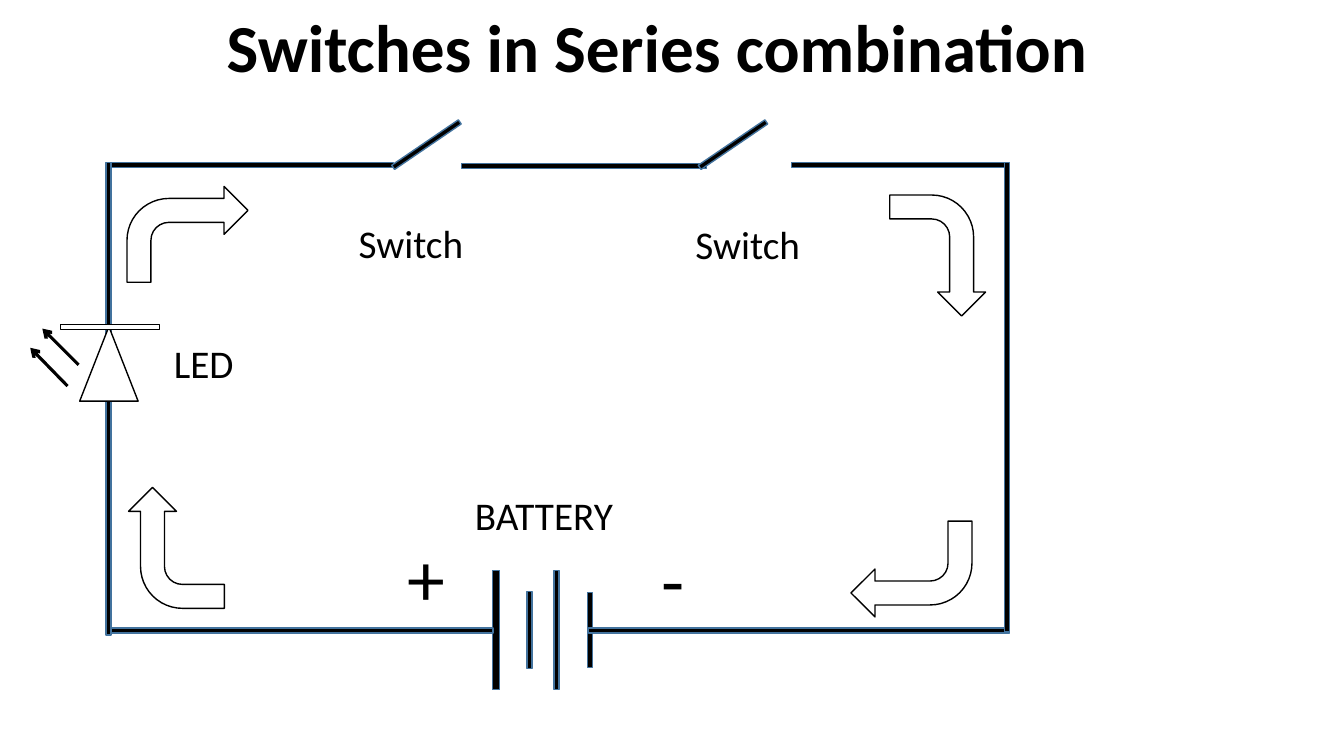
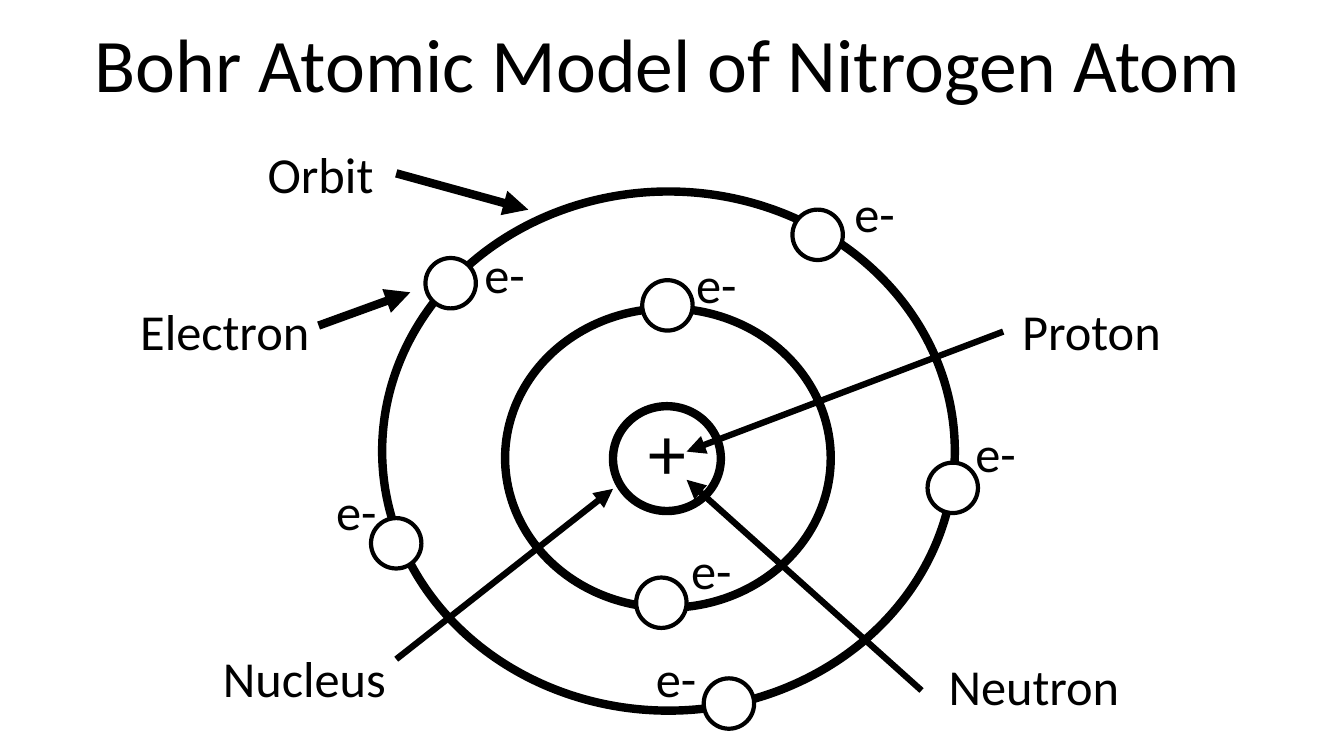
from pptx import Presentation
from pptx.dml.color import RGBColor
from pptx.enum.shapes import MSO_CONNECTOR, MSO_SHAPE
from pptx.enum.text import MSO_AUTO_SIZE, PP_ALIGN
from pptx.oxml.ns import qn
from pptx.util import Inches, Pt
from lxml.etree import SubElement

BLACK = RGBColor(0x00, 0x00, 0x00)
WHITE = RGBColor(0xFF, 0xFF, 0xFF)
WIRE_EDGE = RGBColor(0x43, 0x73, 0x9E)
FONT = "Calibri"


def write(tf, text, size=28, bold=False, align=PP_ALIGN.CENTER, color=BLACK):
    p = tf.paragraphs[0]
    p.alignment = align
    r = p.add_run()
    r.text = text
    r.font.name = FONT
    r.font.size = Pt(size)
    r.font.bold = bold
    r.font.color.rgb = color


class Diagram:
    def __init__(self, prs):
        self.prs = prs
        self.slide = None

    def new_slide(self):
        self.slide = self.prs.slides.add_slide(self.prs.slide_layouts[6])

    def text(self, text, x, y, w, h, wrap=False, **fmt):
        tf = self.slide.shapes.add_textbox(Inches(x), Inches(y), Inches(w), Inches(h)).text_frame
        tf.word_wrap = wrap
        tf.auto_size = MSO_AUTO_SIZE.SHAPE_TO_FIT_TEXT
        write(tf, text, **fmt)

    def shape(self, kind, x, y, w, h, fill=WHITE, line=BLACK, width=1, rotation=0):
        sp = self.slide.shapes.add_shape(kind, Inches(x), Inches(y), Inches(w), Inches(h))
        sp.shadow.inherit = False
        sp.fill.solid()
        sp.fill.fore_color.rgb = fill
        sp.line.color.rgb = line
        sp.line.width = Pt(width)
        sp.rotation = rotation

    def wire(self, x, y, w, h, kind=MSO_SHAPE.FLOWCHART_PROCESS, rotation=0):
        self.shape(kind, x, y, w, h, fill=BLACK, line=WIRE_EDGE, rotation=rotation)

    def cell(self, center_x, center_y, length, thickness):
        self.wire(center_x - length / 2, center_y - thickness / 2, length, thickness,
                  kind=MSO_SHAPE.RECTANGLE, rotation=270)

    def circle(self, x, y, w, h, width=6):
        self.shape(MSO_SHAPE.OVAL, x, y, w, h, width=width)

    def arrow(self, x1, y1, x2, y2, width, head="triangle"):
        line = self.slide.shapes.add_connector(
            MSO_CONNECTOR.STRAIGHT, Inches(x1), Inches(y1), Inches(x2), Inches(y2))
        line.line.color.rgb = BLACK
        line.line.width = Pt(width)
        SubElement(line.line._get_or_add_ln(), qn("a:tailEnd"), type=head)
        SubElement(line._element.spPr, qn("a:effectLst"))


def build_circuit(s):
    s.new_slide()
    s.text("Switches in Series combination", 2.15, 0, 9.33, 0.91, wrap=True,
           size=48, bold=True, align=PP_ALIGN.LEFT)

    for center_x, length, thickness in (
            (4.92, 1.18, 0.07), (5.25, 0.76, 0.05), (5.52, 1.18, 0.05), (5.85, 0.74, 0.05)):
        s.cell(center_x, 6.25, length, thickness)
    for sign, x, y in (("+", 3.9, 5.22), ("-", 6.35, 5.24)):
        s.text(sign, x, y, 0.66, 1.01, wrap=True, size=54)
    s.text("BATTERY", 4.55, 4.83, 1.69, 0.57, wrap=True)

    for x, y, length in (
            (1.09, 6.23, 3.8), (5.84, 6.23, 4.17),
            (1.08, 1.61, 2.82), (4.58, 1.62, 2.43), (7.85, 1.61, 2.14)):
        s.wire(x, y, length, 0.05)
    for x, length in ((9.96, 4.66), (1.05, 4.69)):
        s.wire(x, 1.61, 0.05, length)
    for x in (3.83, 6.87):
        s.wire(x, 1.41, 0.8, 0.05, rotation=325.7)

    s.text("LED", 1.62, 3.32, 0.8, 0.57)
    for x, y in ((3.45, 2.13), (6.79, 2.14)):
        s.text("Switch", x, y, 1.25, 0.57)

    for quarter, (x, y) in enumerate(((1.26, 1.85), (8.7, 2.06), (8.44, 5.17), (1.15, 4.96))):
        s.shape(MSO_SHAPE.BENT_ARROW, x, y, 1.2, 0.95, rotation=90 * quarter)

    s.shape(MSO_SHAPE.ISOSCELES_TRIANGLE, 0.79, 3.24, 0.58, 0.74)
    s.shape(MSO_SHAPE.FLOWCHART_PROCESS, 0.6, 3.22, 0.98, 0.05)
    for x1, y1, x2, y2 in ((0.78, 3.62, 0.42, 3.26), (0.67, 3.83, 0.3, 3.45)):
        s.arrow(x1, y1, x2, y2, 2.25, head="arrow")


def build_atom(s):
    s.new_slide()
    s.circle(3.79, 1.9, 5.68, 5.15)
    s.circle(5.01, 3.06, 3.23, 2.97)
    s.text("Bohr Atomic Model of Nitrogen Atom", 0.78, 0.12, 11.69, 1.01, size=54)
    s.circle(6.08, 4.03, 1.07, 1.04)
    s.text("+", 6.33, 3.97, 0.58, 1.01, size=54)

    electrons = (
        (4.22, 2.56, 4.7, 2.36), (6.37, 2.78, 6.8, 2.46), (7.86, 2.08, 8.37, 1.76),
        (9.2, 4.59, 9.57, 4.14), (6.31, 5.73, 6.75, 5.3), (3.68, 5.14, 3.23, 4.71),
        (6.98, 6.73, 6.4, 6.37))
    for x, y, _, _ in electrons:
        s.circle(x, y, 0.5, 0.5, width=3)

    for name, x, y, w, ends, width in (
            ("Orbit", 2.55, 1.37, 1.26, (3.93, 1.72, 5.24, 2.08), 6),
            ("Electron", 1.28, 2.93, 1.9, (3.16, 3.23, 4.07, 2.9), 6),
            ("Nucleus", 2.1, 6.37, 1.84, (3.93, 6.54, 6.08, 4.85), 4.5),
            ("Proton", 10.03, 2.93, 1.59, (9.95, 3.29, 6.81, 4.48), 4.5),
            ("Neutron", 9.3, 6.45, 1.91, (9.14, 6.85, 6.81, 4.76), 4.5)):
        s.text(name, x, y, w, 0.71, size=36)
        s.arrow(*ends, width)

    for _, _, x, y in electrons:
        s.text("e-", x, y, 0.61, 0.71, size=36)


prs = Presentation()
prs.slide_width = Inches(13.33)
prs.slide_height = Inches(7.5)
diagram = Diagram(prs)
build_circuit(diagram)
build_atom(diagram)
prs.save("out.pptx")
